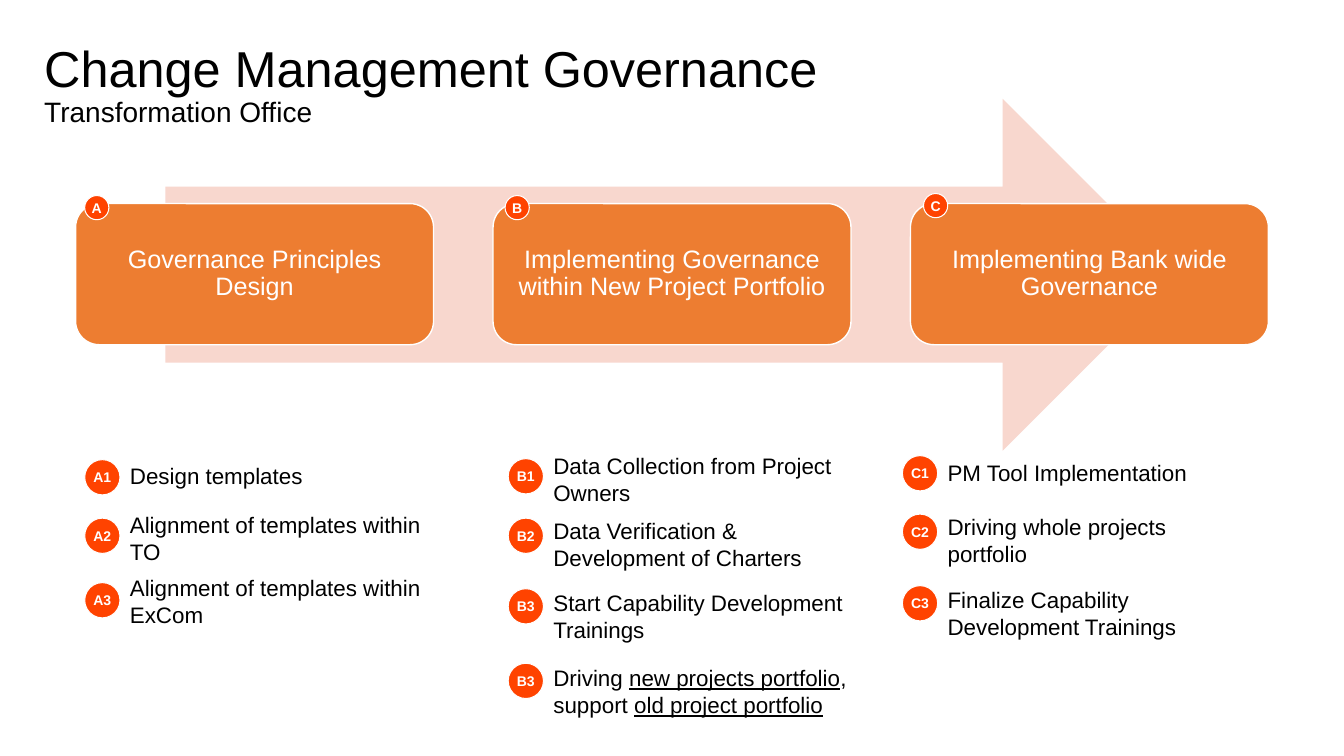
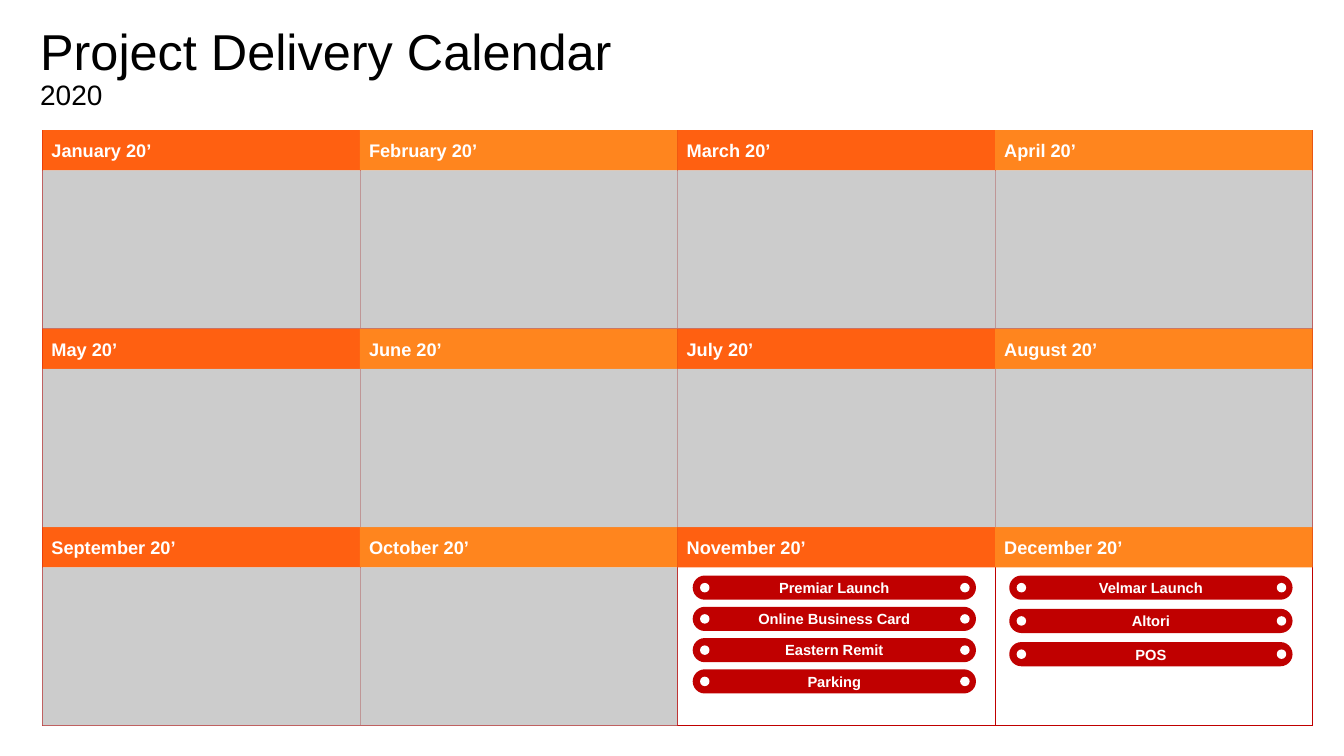
from lxml import etree
from pptx import Presentation
from pptx.dml.color import RGBColor
from pptx.enum.shapes import MSO_SHAPE as Shape
from pptx.enum.text import MSO_ANCHOR as Anchor, PP_ALIGN as Align
from pptx.oxml.ns import qn
from pptx.util import Inches, Pt

FONT = "Arial"
COLORS = {
    "text": "000000",
    "white": "FFFFFF",
    "arrow": "F8D7CE",
    "card": "ED7D31",
    "badge": "FF4300",
    "frame": "C00000",
    "pill": "C00000",
    "month_dark": "FF6011",
    "month_light": "FF851E",
    "shade": "BFBFBF",
}

STAGES = [
    ("A", "Governance Principles Design", 0.09, -0.08),
    ("B", "Implementing Governance within New Project Portfolio", 0.12, -0.08),
    ("C", "Implementing Bank wide Governance", 0.13, -0.1),
]
# Each step: code, badge top, text top, runs as (text, underlined)
STEPS = [
    (0.84, [
        ("A1", 4.56, 4.54, [("Design templates", False)]),
        ("A2", 5.14, 5.02, [("Alignment of templates within TO", False)]),
        ("A3", 5.78, 5.65, [("Alignment of templates within ExCom", False)]),
    ]),
    (5.04, [
        ("B1", 4.55, 4.44, [("Data Collection from Project Owners", False)]),
        ("B2", 5.14, 5.08, [("Data Verification & Development of Charters", False)]),
        ("B3", 5.84, 5.8, [("Start Capability Development Trainings", False)]),
        ("B3", 6.58, 6.54, [
            ("Driving ", False), ("new projects portfolio", True),
            (", support ", False), ("old project portfolio", True),
        ]),
    ]),
    (8.95, [
        ("C1", 4.52, 4.51, [("PM Tool Implementation", False)]),
        ("C2", 5.1, 5.04, [("Driving whole projects portfolio", False)]),
        ("C3", 5.81, 5.77, [("Finalize Capability Development Trainings", False)]),
    ]),
]
MONTHS = [
    "January", "February", "March", "April", "May", "June",
    "July", "August", "September", "October", "November", "December",
]
DELIVERIES = [
    (6.87, 0.31, ["Premiar Launch", "Online Business Card", "Eastern Remit", "Parking"]),
    (10.01, 0.33, ["Velmar Launch", "Altori", "POS"]),
]


def rgb(color):
    return RGBColor.from_string(COLORS[color])


def style(paragraph, size, color, bold=False, align=Align.LEFT):
    paragraph.alignment = align
    paragraph.font.name = FONT
    paragraph.font.size = Pt(size)
    paragraph.font.bold = bold
    paragraph.font.color.rgb = rgb(color)


def set_insets(frame, horizontal, vertical):
    frame.margin_left = frame.margin_right = Inches(horizontal)
    frame.margin_top = frame.margin_bottom = Inches(vertical)


def add_block(slide, kind, box, fill=None, line=None, width=1):
    block = slide.shapes.add_shape(kind, *map(Inches, box))
    block.shadow.inherit = False
    if fill:
        block.fill.solid()
        block.fill.fore_color.rgb = rgb(fill)
    else:
        block.fill.background()
    if line:
        block.line.color.rgb = rgb(line)
        block.line.width = Pt(width)
    else:
        block.line.fill.background()
    return block


def add_label(block, text, size, bold=False, align=Align.CENTER, insets=(0, 0), wrap=True):
    frame = block.text_frame
    frame.word_wrap = wrap
    frame.vertical_anchor = Anchor.MIDDLE
    set_insets(frame, *insets)
    paragraph = frame.paragraphs[0]
    paragraph.text = text
    style(paragraph, size, "white", bold, align)
    return paragraph


def add_title(slide, left, top, title, subtitle):
    heading = slide.shapes.add_textbox(*map(Inches, (left, top, 11.5, 1.45)))
    frame = heading.text_frame
    frame.word_wrap = True
    frame.vertical_anchor = Anchor.MIDDLE
    paragraph = frame.paragraphs[0]
    style(paragraph, 36, "text")
    paragraph.line_spacing = 0.9
    paragraph.add_run().text = title
    paragraph.add_line_break()
    second = paragraph.add_run()
    second.text = subtitle
    second.font.size = Pt(20)


def add_badge(slide, left, top, diameter, code):
    badge = add_block(slide, Shape.OVAL, (left, top, diameter, diameter), "badge", "white", 0.75)
    add_label(badge, code, 10, bold=True, wrap=False)


def add_stages(slide, left, top):
    add_block(slide, Shape.RIGHT_ARROW, (left + 0.89, top - 1.04, 10.05, 3.49), "arrow")
    for index, (code, text, badge_dx, badge_dy) in enumerate(STAGES):
        card_left = left + index * 4.14
        card = add_block(slide, Shape.ROUNDED_RECTANGLE, (card_left, top, 3.55, 1.4), "card", "white")
        add_label(card, text, 18, insets=(0.07, 0.07)).line_spacing = 0.9
        add_badge(slide, card_left + badge_dx, top + badge_dy, 0.24, code)


def add_steps(slide, left, steps):
    for code, badge_top, text_top, runs in steps:
        add_badge(slide, left, badge_top, 0.35, code)
        step = slide.shapes.add_textbox(*map(Inches, (left + 0.35, text_top, 3.19, 0.64)))
        step.text_frame.word_wrap = True
        paragraph = step.text_frame.paragraphs[0]
        style(paragraph, 16, "text")
        for text, underlined in runs:
            run = paragraph.add_run()
            run.text = text
            if underlined:
                run.font.underline = True


def add_shade(slide, box):
    shade = add_block(slide, Shape.RECTANGLE, box, "shade")
    tint = shade.fill._xPr.find(".//" + qn("a:srgbClr"))
    etree.SubElement(tint, qn("a:alpha")).set("val", "79000")


def add_calendar(slide, left, top, column=3.15, row=1.97, header=0.4):
    width, height = 4 * column, 3 * row
    frames = [(left, top + index * row, width, row) for index in range(3)]
    frames += [(left + index * column, top, column, height) for index in range(4)]
    for box in frames:
        add_block(slide, Shape.RECTANGLE, box, line="frame", width=0.5)
    for index, month in enumerate(MONTHS):
        row_index, column_index = divmod(index, 4)
        color = "month_light" if column_index % 2 else "month_dark"
        box = (left + column_index * column, top + row_index * row, column, header)
        band = add_block(slide, Shape.RECTANGLE, box, color)
        add_label(band, f"{month} 20’", 13, True, Align.LEFT, (0.09, 0.05))
    for row_index, columns in enumerate((4, 4, 2)):
        add_shade(slide, (left, top + row_index * row + header, columns * column, row - header))


def add_deliveries(slide, left, top, pitch, names):
    for index, name in enumerate(names):
        pill_top = top + index * pitch
        pill = add_block(slide, Shape.ROUNDED_RECTANGLE, (left, pill_top, 2.81, 0.24), "pill")
        pill.adjustments[0] = 0.5
        add_label(pill, name, 10.5, bold=True)
        for offset in (0.08, 2.66):
            add_block(slide, Shape.OVAL, (left + offset, pill_top + 0.08, 0.08, 0.08), "white", "white")


def build_governance(slide):
    add_title(slide, 0.34, 0.13, "Change Management Governance", "Transformation Office")
    add_stages(slide, 0.75, 2.02)
    for left, steps in STEPS:
        add_steps(slide, left, steps)


def build_calendar(slide):
    add_title(slide, 0.3, -0.04, "Project Delivery Calendar", "2020")
    add_calendar(slide, 0.42, 1.29)
    for left, pitch, names in DELIVERIES:
        add_deliveries(slide, left, 5.71, pitch, names)


def main():
    deck = Presentation()
    deck.slide_width, deck.slide_height = Inches(13.33), Inches(7.5)
    for build in (build_governance, build_calendar):
        build(deck.slides.add_slide(deck.slide_layouts[6]))
    deck.save("out.pptx")


if __name__ == "__main__":
    main()
